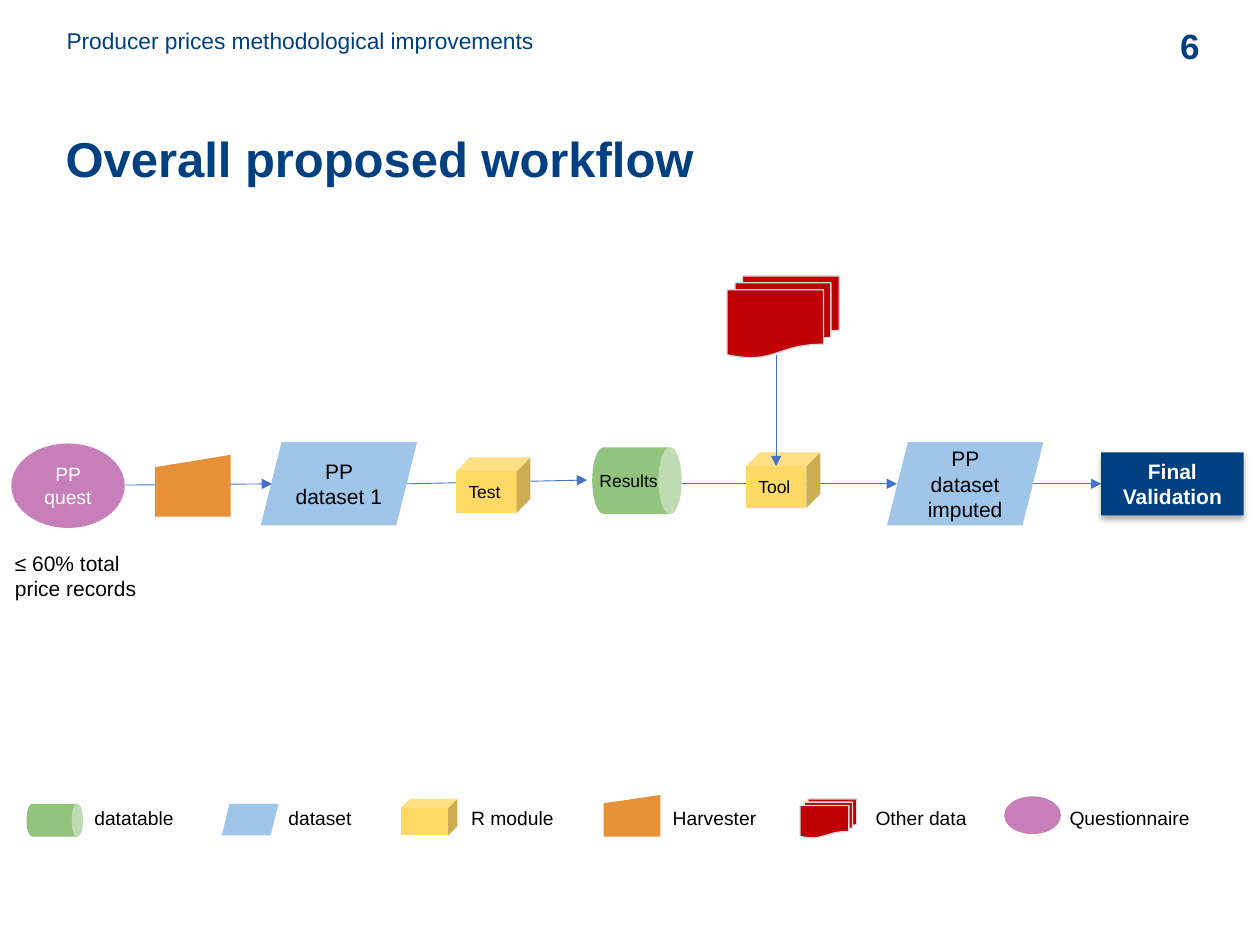
from lxml import etree
from pptx import Presentation
from pptx.dml.color import RGBColor
from pptx.enum.shapes import MSO_CONNECTOR, MSO_SHAPE as SHAPE
from pptx.enum.text import MSO_ANCHOR as ANCHOR, MSO_AUTO_SIZE, PP_ALIGN as ALIGN
from pptx.oxml import parse_xml
from pptx.oxml.ns import nsdecls, qn
from pptx.util import Inches, Pt

NAVY = RGBColor(0x00, 0x40, 0x80)
BLUE = RGBColor(0x44, 0x72, 0xC4)
SKY = RGBColor(0x9F, 0xC5, 0xE8)
YELLOW = RGBColor(0xFF, 0xD9, 0x66)
ORANGE = RGBColor(0xE6, 0x91, 0x38)
RED = RGBColor(0xC0, 0x00, 0x00)
PURPLE = RGBColor(0xC7, 0x7F, 0xB9)
GREEN = RGBColor(0x93, 0xC4, 0x7D)
GRAY = RGBColor(0xD9, 0xD9, 0xD9)
BLACK = RGBColor(0x00, 0x00, 0x00)
WHITE = RGBColor(0xFF, 0xFF, 0xFF)

KINDS = {
    "datatable": (SHAPE.CAN, GREEN),
    "dataset": (SHAPE.PARALLELOGRAM, SKY),
    "R module": (SHAPE.CUBE, YELLOW),
    "Harvester": (SHAPE.FLOWCHART_MANUAL_INPUT, ORANGE),
    "Other data": (SHAPE.FLOWCHART_MULTIDOCUMENT, RED),
    "Questionnaire": (SHAPE.OVAL, PURPLE),
    "step": (SHAPE.RECTANGLE, NAVY),
}
ADJUSTMENTS = {"datatable": 0.346, "dataset": 0.25, "R module": 0.25}


def write(tf, text, size, color=BLACK, bold=False, align=ALIGN.LEFT,
          anchor=ANCHOR.TOP, inset=0.05):
    tf.word_wrap = True
    tf.auto_size = MSO_AUTO_SIZE.NONE
    tf.vertical_anchor = anchor
    tf.margin_left = tf.margin_right = Inches(0.1)
    tf.margin_top = tf.margin_bottom = Inches(inset)
    tf.text = text
    for p in tf.paragraphs:
        p.alignment = align
        p.font.name = "Arial"
        p.font.size = Pt(size)
        p.font.bold = bold
        p.font.color.rgb = color


def add_text(slide, x, y, w, h, text, size, **style):
    tb = slide.shapes.add_textbox(Inches(x), Inches(y), Inches(w), Inches(h))
    write(tb.text_frame, text, size, **style)


def add_symbol(slide, kind, x, y, w, h):
    preset, color = KINDS[kind]
    turned = kind == "datatable"
    if turned:
        x, y, w, h = x + (w - h) / 2, y + (h - w) / 2, h, w
    sp = slide.shapes.add_shape(preset, Inches(x), Inches(y), Inches(w), Inches(h))
    sp.shadow.inherit = False
    sp.fill.solid()
    sp.fill.fore_color.rgb = color
    if kind == "Other data":
        sp.line.color.rgb = GRAY
        sp.line.width = Pt(0.75)
    else:
        sp.line.fill.background()
    if kind in ADJUSTMENTS:
        sp.adjustments[0] = ADJUSTMENTS[kind]
    if turned:
        sp.rotation = 90
    return sp


def add_arrow(slide, x1, y1, x2, y2):
    cn = slide.shapes.add_connector(
        MSO_CONNECTOR.STRAIGHT, Inches(x1), Inches(y1), Inches(x2), Inches(y2))
    cn.line.color.rgb = BLUE
    cn.line.width = Pt(0.5)
    etree.SubElement(cn.line._get_or_add_ln(), qn("a:tailEnd"), type="triangle")
    etree.SubElement(cn._element.spPr, qn("a:effectLst"))


def add_drop_shadow(sp):
    effects = sp._element.spPr.find(qn("a:effectLst"))
    effects.append(parse_xml(
        f'<a:outerShdw {nsdecls("a")} blurRad="{Pt(3.5)}" dist="{Pt(2.2)}" '
        'dir="5400000" rotWithShape="0"><a:srgbClr val="000000">'
        '<a:alpha val="32000"/></a:srgbClr></a:outerShdw>'))


def build_header(slide, x, y, w):
    add_text(slide, x, y, 8.46, 0.32, "Producer prices methodological improvements",
             13, color=NAVY)
    add_text(slide, x + w - 2.25, y, 2.25, 0.4, "6", 20, color=NAVY, bold=True,
             align=ALIGN.RIGHT, anchor=ANCHOR.MIDDLE)


def build_title(slide, x, y, w, h):
    title = slide.shapes.title
    title.left, title.top = Inches(x), Inches(y)
    title.width, title.height = Inches(w), Inches(h)
    write(title.text_frame, "Overall proposed workflow", 28, color=NAVY, bold=True)
    p = title.text_frame.paragraphs[0]
    p.line_spacing = 0.9
    p.space_before = Pt(10)


def build_workflow(slide, x, y):
    for x1, y1, x2, y2 in [(5.37, 1.65, 7.12, 1.65), (3.23, 1.65, 4.66, 1.62),
                           (0.99, 1.66, 2.16, 1.65), (8.2, 1.65, 8.74, 1.65)]:
        add_arrow(slide, x + x1, y + y1, x + x2, y + y2)

    centered = dict(align=ALIGN.CENTER, anchor=ANCHOR.MIDDLE)
    module = dict(anchor=ANCHOR.MIDDLE, inset=0.1)
    steps = [
        ("Questionnaire", 0.09, 1.33, 0.9, 0.67, "PP quest", 11,
         dict(color=WHITE, **centered)),
        ("Harvester", 1.23, 1.42, 0.6, 0.49, "", 0, {}),
        ("dataset", 2.07, 1.32, 1.24, 0.66, "PP dataset 1", 12,
         dict(inset=0.1, **centered)),
        ("R module", 3.62, 1.44, 0.59, 0.44, "Test", 10, module),
        ("datatable", 4.7, 1.36, 0.71, 0.53, "", 0, {}),
        ("Other data", 5.77, 0, 0.89, 0.65, "", 0, {}),
        ("R module", 5.92, 1.4, 0.59, 0.44, "Tool", 10, module),
        ("dataset", 7.04, 1.32, 1.24, 0.66, "PP dataset imputed", 12,
         dict(inset=0.1, **centered)),
        ("step", 8.74, 1.4, 1.13, 0.5, "Final Validation", 12,
         dict(color=WHITE, bold=True, align=ALIGN.CENTER)),
    ]
    for kind, dx, dy, w, h, text, size, style in steps:
        sp = add_symbol(slide, kind, x + dx, y + dy, w, h)
        if text:
            write(sp.text_frame, text, size, **style)
        if kind == "step":
            add_drop_shadow(sp)

    add_text(slide, x + 4.66, y + 1.49, 0.74, 0.27, "Results", 10)
    add_text(slide, x + 0.02, y + 2.13, 1.24, 0.5, "≤ 60% total\nprice records", 12)
    add_arrow(slide, x + 6.16, y + 0.63, x + 6.16, y + 1.51)


def build_legend(slide, x, y):
    entries = [
        ("datatable", 0, 0.09, 0.26, 0.44, 0.88),
        ("dataset", 1.55, 0.09, 0.25, 1.98, 0.85),
        ("R module", 2.97, 0.05, 0.29, 3.43, 0.88),
        ("Harvester", 4.58, 0.02, 0.33, 5.03, 1.01),
        ("Other data", 6.14, 0.05, 0.31, 6.64, 1.01),
        ("Questionnaire", 7.76, 0.03, 0.3, 8.18, 1.56),
    ]
    for kind, dx, dy, h, label_dx, label_w in entries:
        add_symbol(slide, kind, x + dx, y + dy, 0.45, h)
        add_text(slide, x + label_dx, y + 0.07, label_w, 0.27, kind, 11,
                 anchor=ANCHOR.MIDDLE, inset=0.1)


def main():
    prs = Presentation()
    prs.slide_width, prs.slide_height = Inches(10), Inches(7.5)
    slide = prs.slides.add_slide(prs.slide_layouts[5])
    build_header(slide, 0.43, 0.16, 9.19)
    build_title(slide, 0.42, 1.02, 9.16, 0.5)
    build_workflow(slide, 0, 2.19)
    build_legend(slide, 0.21, 6.29)
    prs.save("out.pptx")


if __name__ == "__main__":
    main()
